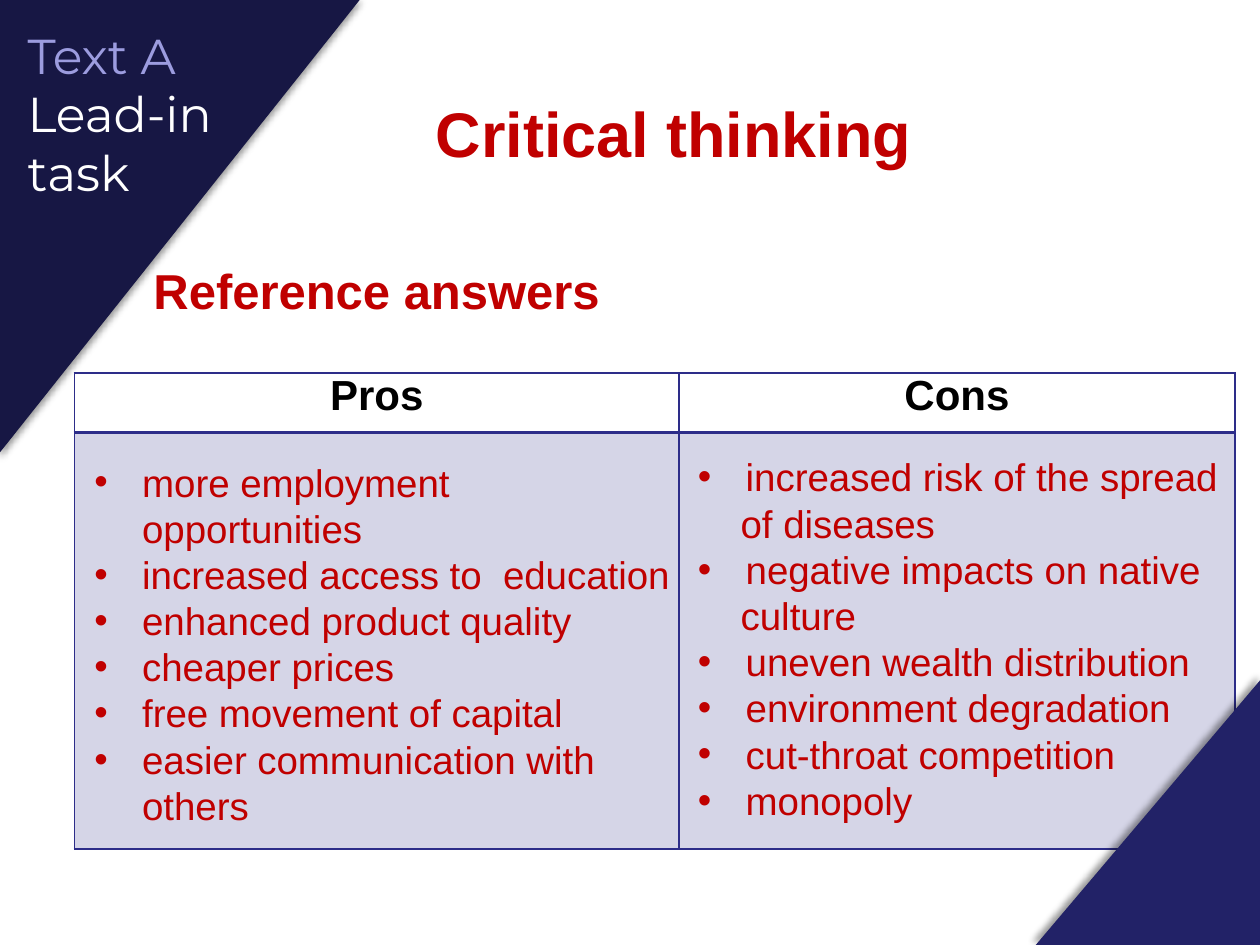
"""Builds the critical thinking slide with its pros and cons table."""
from lxml.etree import SubElement
from pptx import Presentation
from pptx.dml.color import RGBColor
from pptx.enum.shapes import MSO_SHAPE as Shape
from pptx.enum.text import MSO_ANCHOR as Anchor, MSO_AUTO_SIZE as AutoSize, PP_ALIGN as Align
from pptx.oxml.ns import qn
from pptx.util import Inches, Pt

COLORS = {
    "midnight": "171744",
    "navy": "222267",
    "grid": "2D2D89",
    "lilac": "9C9CDF",
    "red": "C00000",
    "white": "FFFFFF",
    "black": "000000",
}
TITLE = {"size": Pt(36), "name": "Arial", "bold": True}
SUBTITLE = {**TITLE, "size": Pt(28)}
HEADER = {**TITLE, "size": Pt(24)}
ANSWER = {"size": Pt(22), "name": "Arial"}
CORNER = {"size": Pt(28), "name": "Montserrat"}

BULLET_INDENT = 0.38
WRAP_INDENT = 0.34
PROS = [
    ("more employment opportunities", True),
    ("increased access to  education", True),
    ("enhanced product quality", True),
    ("cheaper prices", True),
    ("free movement of capital", True),
    ("easier communication with others", True),
]
CONS = [
    ("increased risk of the spread", True),
    ("of diseases", False),
    ("negative impacts on native", True),
    ("culture", False),
    ("uneven wealth distribution", True),
    ("environment degradation", True),
    ("cut-throat competition", True),
    ("monopoly", True),
]


def rgb(name):
    """Return the named colour."""
    return RGBColor.from_string(COLORS[name])


def add_color(parent, name, percent=100):
    """Append a colour element with the given opacity."""
    color = SubElement(parent, qn("a:srgbClr"), val=COLORS[name])
    if percent < 100:
        SubElement(color, qn("a:alpha"), val=str(percent * 1000))


def add_run(paragraph, words, style, color):
    """Add a run with the font values of a style."""
    run = paragraph.add_run()
    run.text = words
    for key, value in style.items():
        setattr(run.font, key, value)
    run.font.color.rgb = rgb(color)


def add_box(slide, place, wrap=True, fit=AutoSize.SHAPE_TO_FIT_TEXT):
    """Add a text box and return its text frame."""
    frame = slide.shapes.add_textbox(*map(Inches, place)).text_frame
    frame.word_wrap = wrap
    frame.auto_size = fit
    return frame


def add_corner(slide, place, rotation, color, shadow_angle):
    """Add a rotated corner triangle with a soft shadow."""
    corner = slide.shapes.add_shape(Shape.RIGHT_TRIANGLE, *map(Inches, place))
    corner.rotation = rotation
    corner.fill.solid()
    corner.fill.fore_color.rgb = rgb(color)
    corner.line.fill.background()
    corner.shadow.inherit = False
    effects = corner.element.spPr.find(qn("a:effectLst"))
    shadow = SubElement(effects, qn("a:outerShdw"), blurRad=str(Pt(4)), dist=str(Pt(3)),
                        dir=str(shadow_angle * 60000), rotWithShape="0")
    add_color(shadow, "black", 40)


def add_answers(slide, place, answers, wrap):
    """Add a column of bulleted answers with indented continuation lines."""
    frame = add_box(slide, place, wrap)
    for index, (words, bulleted) in enumerate(answers):
        paragraph = frame.add_paragraph() if index else frame.paragraphs[0]
        props = paragraph._p.get_or_add_pPr()
        props.set("marL", str(Inches(BULLET_INDENT if bulleted else WRAP_INDENT)))
        if bulleted:
            props.set("indent", str(-Inches(BULLET_INDENT)))
            SubElement(props, qn("a:buFont"), typeface="Arial")
            SubElement(props, qn("a:buChar"), char="•")
        add_run(paragraph, words, ANSWER, "red")


def set_borders(cell, widths):
    """Draw the cell borders, given as side and width in points."""
    props = cell._tc.get_or_add_tcPr()
    for side, width in widths.items():
        line = SubElement(props, qn(f"a:ln{side}"), w=str(Pt(width)))
        add_color(SubElement(line, qn("a:solidFill")), "grid")


def add_grid(slide, place, widths, heights, headers):
    """Add the table with header cells over tinted cells."""
    table = slide.shapes.add_table(len(heights), len(widths), *map(Inches, place)).table
    table.first_row = table.horz_banding = False
    for column, width in zip(table.columns, widths):
        column.width = Inches(width)
    for row, height in zip(table.rows, heights):
        row.height = Inches(height)
    for index, words in enumerate(headers):
        header, body = table.cell(0, index), table.cell(1, index)
        set_borders(header, {"L": 1, "R": 1, "T": 1, "B": 2})
        set_borders(body, {"L": 1, "R": 1, "T": 2, "B": 1})
        header.fill.background()
        header.margin_left = header.margin_right = Inches(0.07)
        header.margin_top = header.margin_bottom = 0
        title = header.text_frame.paragraphs[0]
        title.alignment = Align.CENTER
        add_run(title, words, HEADER, "black")
        tint = SubElement(body._tc.get_or_add_tcPr(), qn("a:solidFill"))
        add_color(tint, "grid", 20)


def add_section_label(slide, place):
    """Add the label in the top left corner."""
    frame = add_box(slide, place, fit=AutoSize.NONE)
    frame.vertical_anchor = Anchor.MIDDLE
    add_run(frame.paragraphs[0], "Text A ", CORNER, "lilac")
    add_run(frame.paragraphs[0], "Lead-in", CORNER, "white")
    add_run(frame.add_paragraph(), "task", CORNER, "white")


def main():
    """Build and save the slide."""
    deck = Presentation()
    deck.slide_width, deck.slide_height = Inches(10), Inches(7.5)
    slide = deck.slides.add_slide(deck.slide_layouts[6])

    add_corner(slide, (-0.37, 0.35, 3.61, 2.87), 90, "midnight", 90)
    title = add_box(slide, (3.36, 0.7, 4.02, 0.71), wrap=False)
    add_run(title.paragraphs[0], "Critical thinking", TITLE, "red")
    add_grid(slide, (0.59, 2.96, 9.21, 3.78), (4.8, 4.41), (0.47, 3.31), ("Pros", "Cons"))
    add_answers(slide, (0.65, 3.59, 4.79, 3.06), PROS, wrap=True)
    add_answers(slide, (5.44, 3.55, 4.46, 3.06), CONS, wrap=False)
    add_section_label(slide, (0.12, 0.1, 2.22, 1.6))
    subtitle = add_box(slide, (1.12, 2.02, 9, 0.82), fit=AutoSize.NONE)
    add_run(subtitle.paragraphs[0], "Reference answers", SUBTITLE, "red")
    add_corner(slide, (8.06, 5.56, 2.1, 1.78), 270, "navy", 225)

    deck.save("out.pptx")


if __name__ == "__main__":
    main()
